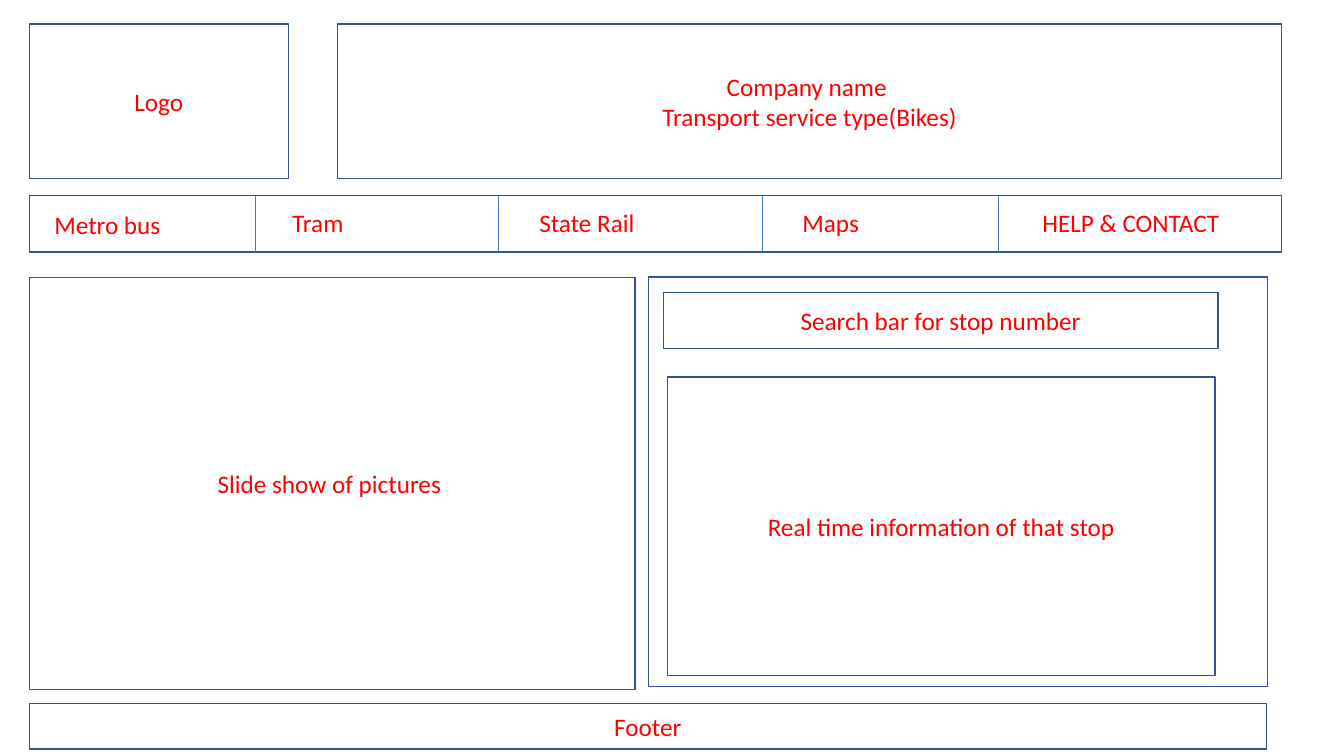
from dataclasses import dataclass

from lxml import etree
from pptx import Presentation
from pptx.dml.color import RGBColor
from pptx.enum.shapes import MSO_CONNECTOR, MSO_SHAPE
from pptx.enum.text import MSO_ANCHOR, PP_ALIGN
from pptx.oxml.ns import qn
from pptx.util import Inches, Pt

RECT = MSO_SHAPE.RECTANGLE
LINE = MSO_CONNECTOR.STRAIGHT
MIDDLE = MSO_ANCHOR.MIDDLE
TOP = MSO_ANCHOR.TOP
CENTER = PP_ALIGN.CENTER
LEFT = PP_ALIGN.LEFT


@dataclass(frozen=True)
class Theme:
    font: str = "Calibri"
    size: Pt = Pt(18)
    ink: RGBColor = RGBColor(0xFF, 0x00, 0x00)
    paper: RGBColor = RGBColor(0xFF, 0xFF, 0xFF)
    edge: RGBColor = RGBColor(0x32, 0x54, 0x91)
    rule: RGBColor = RGBColor(0x44, 0x72, 0xC4)
    thick: Pt = Pt(1)
    thin: Pt = Pt(0.5)


class Wireframe:
    def __init__(self, slide, theme):
        self.shapes = slide.shapes
        self.theme = theme

    def letter(self, frame, text, align, anchor):
        frame.word_wrap = True
        frame.vertical_anchor = anchor
        frame.text = text
        for para in frame.paragraphs:
            para.alignment = align
            para.font.name = self.theme.font
            para.font.size = self.theme.size
            para.font.color.rgb = self.theme.ink

    def box(self, x, y, w, h, text=""):
        box = self.shapes.add_shape(RECT, Inches(x), Inches(y), Inches(w), Inches(h))
        box.shadow.inherit = False
        box.fill.solid()
        box.fill.fore_color.rgb = self.theme.paper
        box.line.color.rgb = self.theme.edge
        box.line.width = self.theme.thick
        if text:
            self.letter(box.text_frame, text, CENTER, MIDDLE)

    def label(self, x, y, w, h, text):
        label = self.shapes.add_textbox(Inches(x), Inches(y), Inches(w), Inches(h))
        self.letter(label.text_frame, text, LEFT, TOP)

    def divider(self, x, y, h):
        line = self.shapes.add_connector(
            LINE, Inches(x), Inches(y), Inches(x), Inches(y + h))
        line.line.color.rgb = self.theme.rule
        line.line.width = self.theme.thin
        etree.SubElement(line._element.spPr, qn("a:effectLst"))


deck = Presentation()
deck.slide_width = Inches(13.33)
deck.slide_height = Inches(7.5)
blank = deck.slide_layouts[6]
page = Wireframe(deck.slides.add_slide(blank), Theme())

EDGE = 0.29  # left margin shared by every band

# Header
page.box(EDGE, 0.24, 2.57, 1.53, "Logo")
page.box(3.35, 0.24, 9.36, 1.53, "Company name \nTransport service type(Bikes)")

# Menu bar
page.box(EDGE, 1.94, 12.42, 0.56)
for x in (2.53, 4.94, 7.56, 9.9):
    page.divider(x, 1.94, 0.56)
menu = [
    (0.44, 2.03, "Metro bus"),
    (2.8, 2.01, "Tram"),
    (5.25, 2.01, "State Rail"),
    (7.86, 2.01, "Maps"),
    (10.24, 2.01, "HELP & CONTACT"),
]
for x, y, text in menu:
    page.label(x, y, 2.01, 0.4, text)

# Slide show
page.box(EDGE, 2.75, 6.01, 4.09, "Slide show of pictures ")

# Stop search panel
page.box(6.43, 2.75, 6.14, 4.06)
page.box(6.58, 2.9, 5.5, 0.56, "Search bar for stop number")
page.box(6.62, 3.74, 5.43, 2.96, "Real time information of that stop")

# Footer
page.box(EDGE, 6.98, 12.27, 0.45, "Footer")

deck.save("out.pptx")
